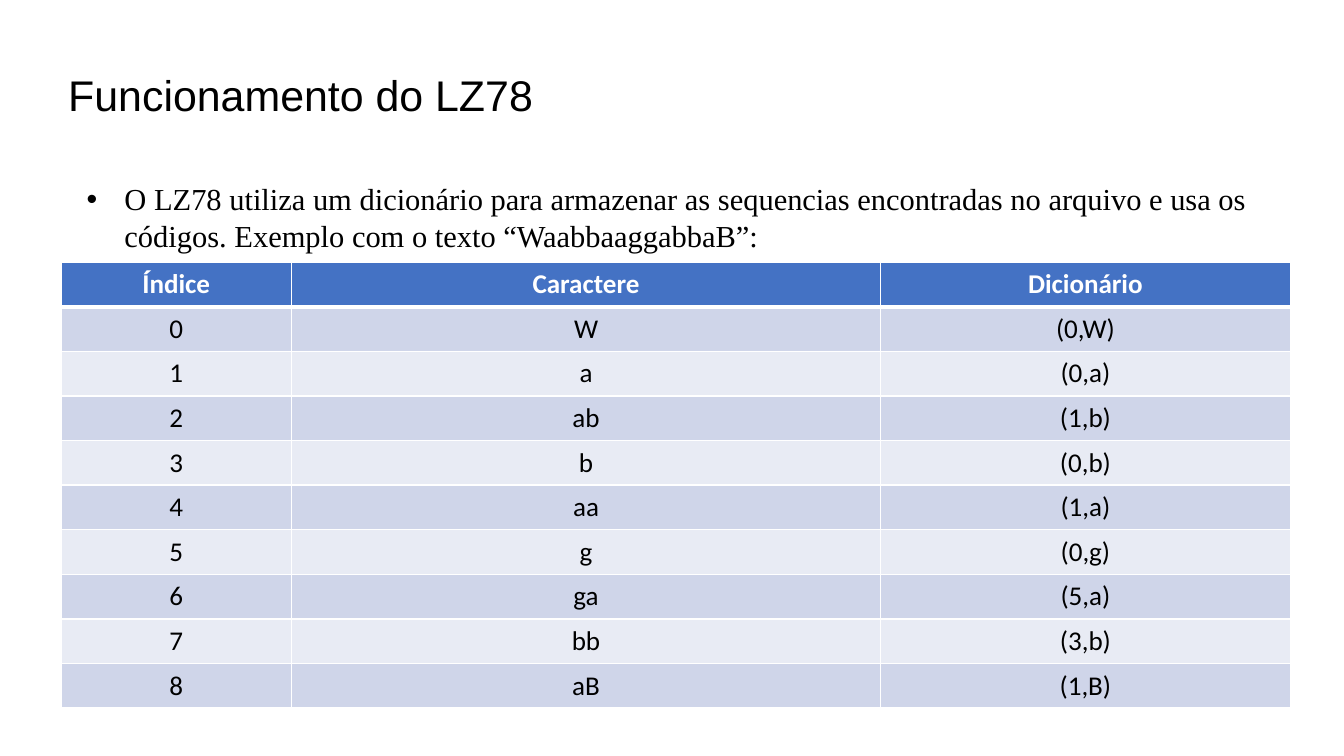
from dataclasses import dataclass

from lxml import etree
from pptx import Presentation
from pptx import util as u
from pptx.dml.color import RGBColor
from pptx.enum import text
from pptx.oxml import ns

SLIDE_WIDTH, SLIDE_HEIGHT = u.Inches(11.02), u.Inches(6.2)
COLORS = {
    "text": "000000",
    "line": "FFFFFF",
    "header_text": "FFFFFF",
    "header": "4472C4",
    "odd_row": "CFD5E9",
    "even_row": "E8EBF4",
}


@dataclass
class Area:
    """Left, top, width and height in percent of the slide."""
    left: float
    top: float
    width: float
    height: float

    def emu(self) -> tuple[int, int, int, int]:
        return (across(self.left), down(self.top),
                across(self.width), down(self.height))


@dataclass
class Style:
    font: str
    size: float
    color: str
    bold: bool = False


@dataclass
class Entry:
    phrase: str
    code: str


TITLE_AREA = Area(4.17, 8.23, 69.6, 8.39)
BODY_AREA = Area(5.54, 23.06, 88.66, 11.29)
TABLE_AREA = Area(4.54, 34.68, 91.47, 59.03)
COLUMN_SHARES = (17.15, 43.83, 30.49)
TITLE_STYLE = Style("Arial", 25.3, "text")
BODY_STYLE = Style("Times New Roman", 18, "text")
HEADER_STYLE = Style("Calibri", 16, "header_text", True)
CELL_STYLE = Style("Calibri", 16, "text")
THIN, THICK = 0.96, 3

HEADINGS = ("Índice", "Caractere", "Dicionário")
ENTRIES = [
    Entry("W", "(0,W)"),
    Entry("a", "(0,a)"),
    Entry("ab", "(1,b)"),
    Entry("b", "(0,b)"),
    Entry("aa", "(1,a)"),
    Entry("g", "(0,g)"),
    Entry("ga", "(5,a)"),
    Entry("bb", "(3,b)"),
    Entry("aB", "(1,B)"),
]


def across(share: float) -> int:
    return round(SLIDE_WIDTH * share / 100)


def down(share: float) -> int:
    return round(SLIDE_HEIGHT * share / 100)


def write(frame, words: str, style: Style, align):
    frame.text = words
    para = frame.paragraphs[0]
    para.alignment = align
    para.space_before = u.Pt(0)
    for span in para.runs:
        span.font.name = style.font
        span.font.size = u.Pt(style.size)
        span.font.bold = style.bold
        span.font.color.rgb = RGBColor.from_string(COLORS[style.color])
    return para


def fill_placeholder(box, area: Area, words: str, style: Style, anchor):
    box.left, box.top, box.width, box.height = area.emu()
    frame = box.text_frame
    frame.word_wrap = True
    frame.auto_size = text.MSO_AUTO_SIZE.NONE
    frame.vertical_anchor = anchor
    return write(frame, words, style, text.PP_ALIGN.LEFT)


def add_bullet(para, indent: int) -> None:
    props = para._p.get_or_add_pPr()
    props.set("marL", str(indent))
    props.set("indent", str(-indent))
    color = etree.SubElement(props, ns.qn("a:buClr"))
    etree.SubElement(color, ns.qn("a:srgbClr"), val=COLORS["text"])
    etree.SubElement(props, ns.qn("a:buFont"), typeface="Arial")
    etree.SubElement(props, ns.qn("a:buChar"), char="•")


def add_borders(cell, top: float, bottom: float) -> None:
    props = cell._tc.get_or_add_tcPr()
    widths = {"a:lnL": THIN, "a:lnR": THIN, "a:lnT": top, "a:lnB": bottom}
    for place, (tag, width) in enumerate(widths.items()):
        line = etree.Element(ns.qn(tag), w=str(u.Pt(width)))
        fill = etree.SubElement(line, ns.qn("a:solidFill"))
        etree.SubElement(fill, ns.qn("a:srgbClr"), val=COLORS["line"])
        props.insert(place, line)


def add_dictionary_table(page) -> None:
    rows = [HEADINGS]
    rows += [(str(index), entry.phrase, entry.code)
             for index, entry in enumerate(ENTRIES)]
    table = page.shapes.add_table(
        len(rows), len(HEADINGS), *TABLE_AREA.emu()).table
    for column, share in zip(table.columns, COLUMN_SHARES):
        column.width = across(share)
    for number, values in enumerate(rows):
        table.rows[number].height = down(TABLE_AREA.height / len(rows))
        band = "odd_row" if number % 2 else "even_row"
        fill = band if number else "header"
        style = CELL_STYLE if number else HEADER_STYLE
        for position, value in enumerate(values):
            cell = table.cell(number, position)
            cell.margin_top = cell.margin_bottom = u.Inches(0.04)
            cell.vertical_anchor = text.MSO_ANCHOR.MIDDLE
            cell.fill.solid()
            cell.fill.fore_color.rgb = RGBColor.from_string(COLORS[fill])
            write(cell.text_frame, value, style, text.PP_ALIGN.CENTER)
            add_borders(cell, THICK if number == 1 else THIN,
                        THICK if number == 0 else THIN)


def main() -> None:
    deck = Presentation()
    deck.slide_width, deck.slide_height = SLIDE_WIDTH, SLIDE_HEIGHT
    page = deck.slides.add_slide(deck.slide_layouts[1])

    # Title and explanation
    fill_placeholder(page.shapes.title, TITLE_AREA, "Funcionamento do LZ78",
                     TITLE_STYLE, text.MSO_ANCHOR.MIDDLE)
    para = fill_placeholder(
        page.placeholders[1], BODY_AREA,
        "O LZ78 utiliza um dicionário para armazenar as sequencias "
        "encontradas no arquivo e usa os códigos. Exemplo com o texto "
        "“WaabbaaggabbaB”:",
        BODY_STYLE, text.MSO_ANCHOR.TOP)
    add_bullet(para, u.Inches(0.31))

    # Dictionary built step by step
    add_dictionary_table(page)

    deck.save("out.pptx")


if __name__ == "__main__":
    main()
